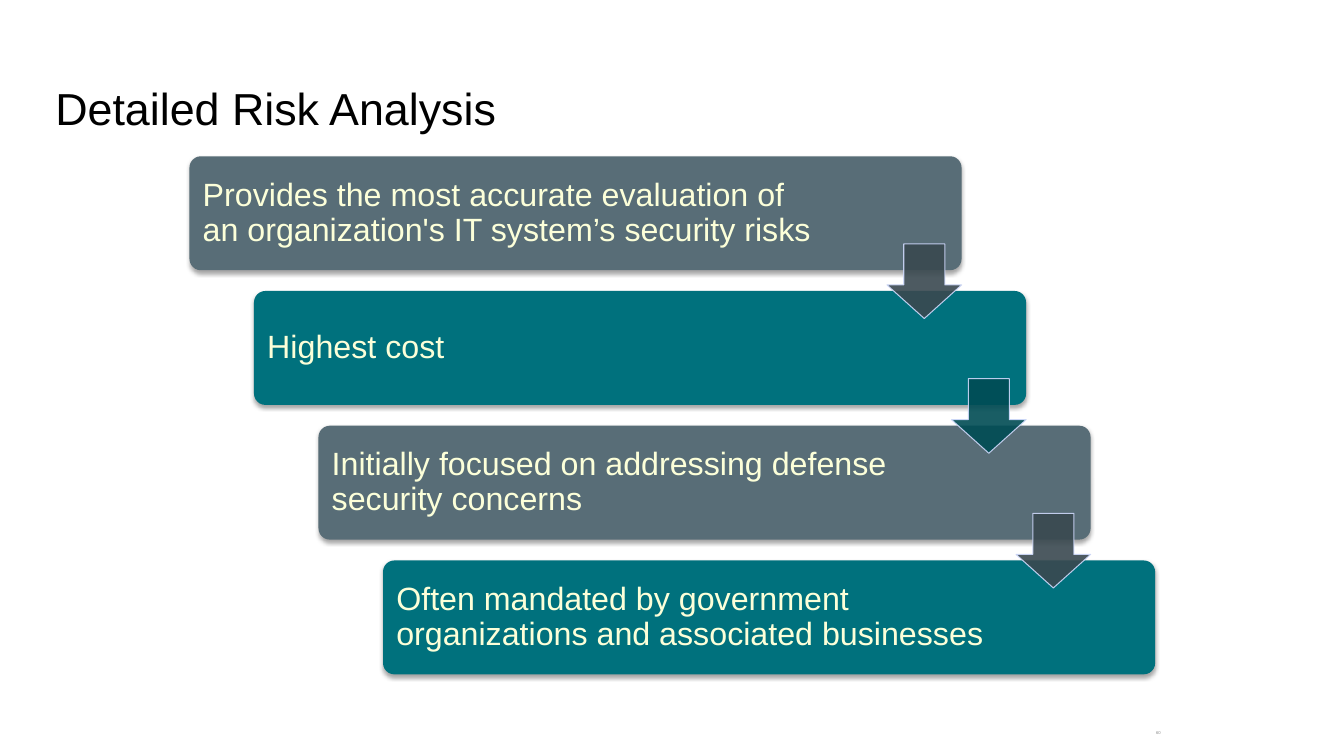
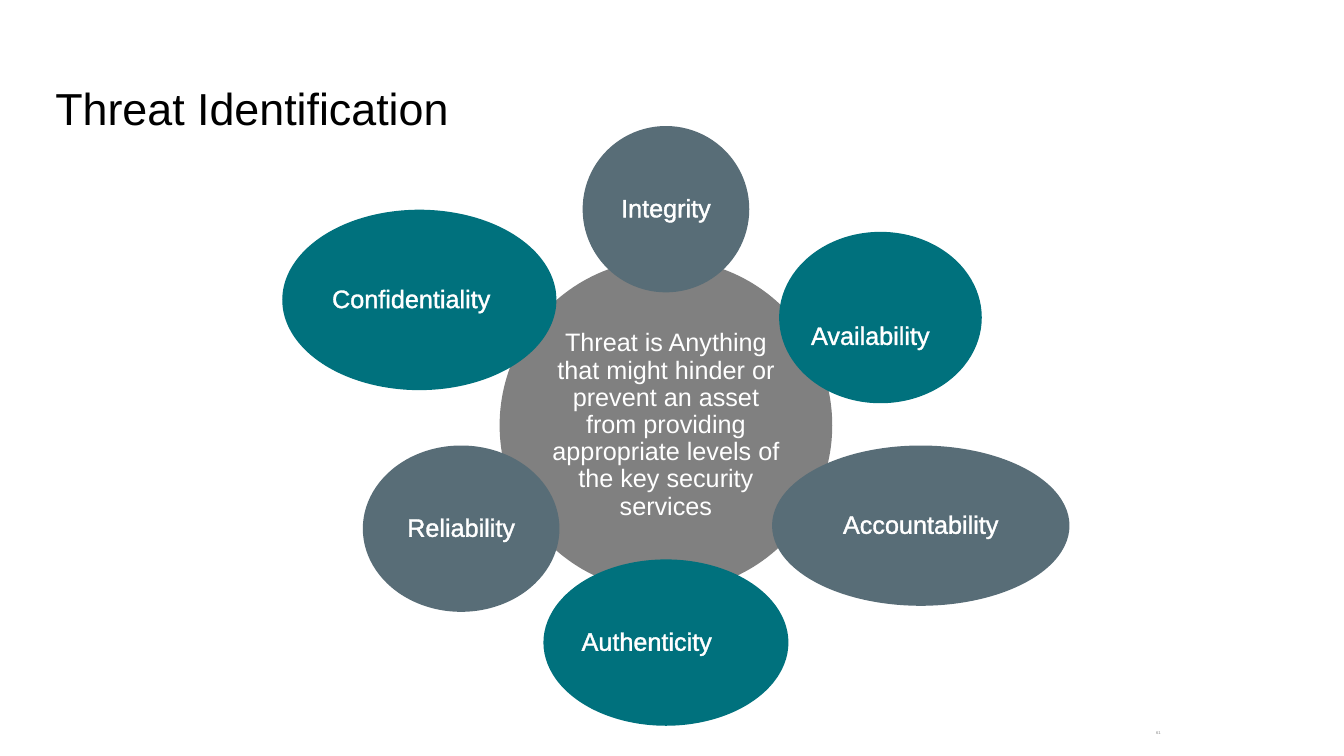
"""Build two slides on risk analysis: a descending staircase of cards and a ring of security services."""
import lxml.etree
import pptx
import pptx.dml.color
import pptx.enum.shapes
import pptx.enum.text
import pptx.oxml.ns
import pptx.util

COLORS = {
    "slate": "586D77",
    "teal": "00717D",
    "dark_slate": "3A4950",
    "dark_teal": "004C54",
    "gray": "808080",
    "arrow_edge": "CFD9FB",
    "cream": "FCFFD9",
    "white": "FFFFFF",
    "black": "000000",
    "footer": "8C8C8C",
}
FONT = "Arial"
SHAPES = pptx.enum.shapes.MSO_SHAPE
ALIGN = pptx.enum.text.PP_ALIGN
qn = pptx.oxml.ns.qn

presentation = pptx.Presentation()
presentation.slide_width = pptx.util.Inches(13.333)
presentation.slide_height = pptx.util.Inches(7.5)
column = presentation.slide_width / 100
row = presentation.slide_height / 100


def add_figure(slide, preset, left, top, width, height, fill=None):
    """Add a filled preset, or a text box when preset is None, in percent of the slide."""
    box = [int(left * column), int(top * row), int(width * column), int(height * row)]
    if preset is None:
        return slide.shapes.add_textbox(*box)
    shape = slide.shapes.add_shape(preset, *box)
    shape.shadow.inherit = False
    shape.fill.solid()
    shape.fill.fore_color.rgb = pptx.dml.color.RGBColor.from_string(COLORS[fill])
    shape.line.fill.background()
    return shape


def add_text(shape, text, size, color, align=ALIGN.LEFT, spacing=1.0, margins=(0.1, 0.1, 0.1, 0.1), wrap=True):
    """Write one vertically centred run; margins are left, top, right, bottom in inches."""
    frame = shape.text_frame
    frame.word_wrap = wrap
    frame.vertical_anchor = pptx.enum.text.MSO_ANCHOR.MIDDLE
    frame.margin_left, frame.margin_top, frame.margin_right, frame.margin_bottom = map(pptx.util.Inches, margins)
    paragraph = frame.paragraphs[0]
    paragraph.alignment = align
    paragraph.line_spacing = spacing
    run = paragraph.add_run()
    run.text = text
    run.font.name = FONT
    run.font.size = pptx.util.Pt(size)
    run.font.color.rgb = pptx.dml.color.RGBColor.from_string(COLORS[color])
    return run


slides = []
for title, number in (("Detailed Risk Analysis", "60"), ("Threat Identification", "61")):
    slide = presentation.slides.add_slide(presentation.slide_layouts[6])
    add_text(add_figure(slide, None, 3.38, 8.67, 93.15, 11.2), title, 32, "black")
    number_box = add_figure(slide, None, 82, 96, 5.1, 2)
    add_text(number_box, number, 3, "footer", ALIGN.RIGHT, 0.8, (0.1, 0.05, 0.1, 0.05))
    slides.append(slide)
staircase_slide, ring_slide = slides

STEPS = (
    "Provides the most accurate evaluation of an organization's IT system’s security risks",
    "Highest cost",
    "Initially focused on addressing defense security concerns",
    "Often mandated by government organizations and associated businesses",
)
CARD_LEFT, CARD_TOP, CARD_WIDTH, CARD_HEIGHT = 14.1, 20.67, 57.45, 15.07
STEP_RIGHT, STEP_DOWN = 4.8, 17.82
ARROW_WIDTH, ARROW_HEIGHT, ARROW_DROP = 5.55, 9.87, 11.6

for index, text in enumerate(STEPS):
    left = CARD_LEFT + index * STEP_RIGHT
    top = CARD_TOP + index * STEP_DOWN
    fill = ("slate", "teal")[index % 2]
    card = add_figure(staircase_slide, SHAPES.ROUNDED_RECTANGLE, left, top, CARD_WIDTH, CARD_HEIGHT, fill)
    card.adjustments[0] = 0.1
    shadow = lxml.etree.SubElement(
        card.element.spPr.find(qn("a:effectLst")), qn("a:outerShdw"),
        blurRad=str(pptx.util.Pt(3.1)), dist=str(pptx.util.Pt(1.8)), dir="5400000", rotWithShape="0")
    shadow_color = lxml.etree.SubElement(shadow, qn("a:srgbClr"), val=COLORS["black"])
    lxml.etree.SubElement(shadow_color, qn("a:alpha"), val="35000")
    add_text(card, text, 23, "cream", spacing=0.9, margins=(0.1, 0.1, 1.42, 0.1))

for index in range(len(STEPS) - 1):
    left = CARD_LEFT + index * STEP_RIGHT + CARD_WIDTH - ARROW_WIDTH
    top = CARD_TOP + index * STEP_DOWN + ARROW_DROP
    fill = ("dark_slate", "dark_teal")[index % 2]
    arrow = add_figure(staircase_slide, SHAPES.DOWN_ARROW, left, top, ARROW_WIDTH, ARROW_HEIGHT, fill)
    arrow.adjustments[0] = 0.55
    arrow.adjustments[1] = 0.45
    arrow.line.color.rgb = pptx.dml.color.RGBColor.from_string(COLORS["arrow_edge"])
    arrow.line.width = pptx.util.Pt(0.75)
    for color in arrow.element.spPr.iter(qn("a:srgbClr")):
        lxml.etree.SubElement(color, qn("a:alpha"), val="90000")

CENTER_X, CENTER_Y = 49.55, 56.27
CORE_WIDTH, CORE_HEIGHT = 24.75, 44
INSET = 0.03
SERVICES = (
    ("Integrity", CENTER_X, 27.67, 12.4, 22, 0, 0),
    ("Availability", 65.51, 42, 15.08, 22.67, -0.1, 0.19),
    ("Accountability", 68.51, 69.53, 22.13, 21.2, 0, 0),
    ("Authenticity", CENTER_X, 85, 18.23, 22, -0.19, 0),
    ("Reliability", 34.31, 69.93, 14.63, 22, 0, 0),
    ("Confidentiality", 31.2, 39.67, 20.4, 23.87, -0.08, 0),
)

core = add_figure(ring_slide, SHAPES.OVAL, CENTER_X - CORE_WIDTH / 2, CENTER_Y - CORE_HEIGHT / 2,
                  CORE_WIDTH, CORE_HEIGHT, "gray")
add_text(core, "Threat is Anything that might hinder or prevent an asset from providing appropriate levels "
         "of the key security services", 18, "white", ALIGN.CENTER, 0.9, (INSET,) * 4)

for index, (name, x, y, width, height, shift_x, shift_y) in enumerate(SERVICES):
    fill = ("slate", "teal")[index % 2]
    oval = add_figure(ring_slide, SHAPES.OVAL, x - width / 2, y - height / 2, width, height, fill)
    margins = (INSET, INSET + 2 * shift_y, INSET - 2 * shift_x, INSET)
    run = add_text(oval, name, 18, "white", ALIGN.CENTER, 0.9, margins, wrap=False)
    outline = lxml.etree.Element(qn("a:ln"), w=str(pptx.util.Pt(1.45)))
    outline_fill = lxml.etree.SubElement(outline, qn("a:solidFill"))
    lxml.etree.SubElement(outline_fill, qn("a:srgbClr"), val=COLORS["white"])
    run.font._element.insert(0, outline)

presentation.save("out.pptx")
